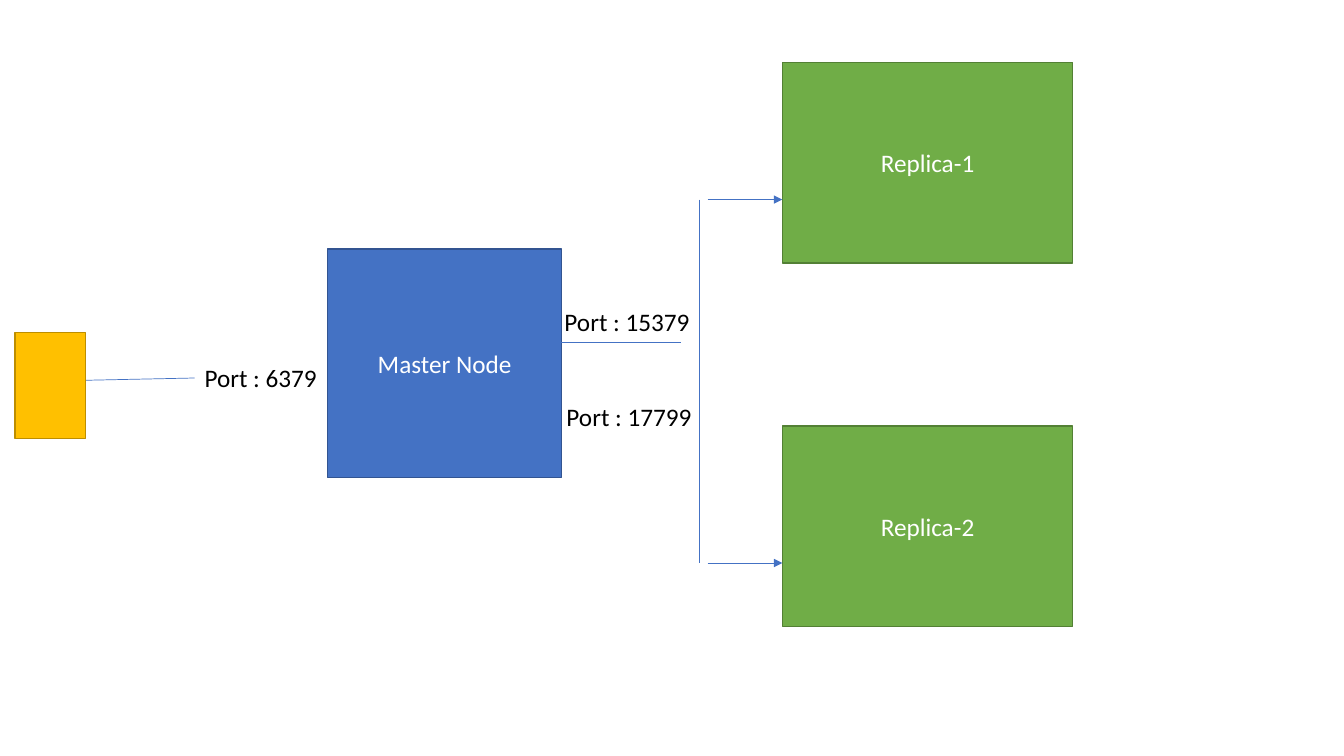
import pptx
import pptx.util
import pptx.dml.color
import pptx.enum.shapes
import pptx.enum.text
import pptx.oxml
import pptx.oxml.ns

RGBColor = pptx.dml.color.RGBColor
BLUE = RGBColor(0x44, 0x72, 0xC4)
DARK_BLUE = RGBColor(0x32, 0x54, 0x91)
GREEN = RGBColor(0x70, 0xAD, 0x47)
DARK_GREEN = RGBColor(0x53, 0x80, 0x35)
AMBER = RGBColor(0xFF, 0xC0, 0x00)
DARK_AMBER = RGBColor(0xBD, 0x8E, 0x00)
WHITE = RGBColor(0xFF, 0xFF, 0xFF)
BLACK = RGBColor(0x00, 0x00, 0x00)

SLIDE_WIDTH = pptx.util.Inches(13.33)
SLIDE_HEIGHT = pptx.util.Inches(7.5)


# Positions and sizes are percentages of the slide
def across(percent):
    return round(SLIDE_WIDTH * percent / 100)


def down(percent):
    return round(SLIDE_HEIGHT * percent / 100)


def write_text(shape, text, size=18, font="Calibri", color=BLACK,
               align=pptx.enum.text.PP_ALIGN.LEFT):
    paragraph = shape.text_frame.paragraphs[0]
    paragraph.alignment = align
    run = paragraph.add_run()
    run.text = text
    run.font.size = pptx.util.Pt(size)
    run.font.name = font
    run.font.color.rgb = color


def add_box(slide, left, top, width, height, fill, outline, text=None):
    shape = slide.shapes.add_shape(
        pptx.enum.shapes.MSO_SHAPE.RECTANGLE,
        across(left), down(top), across(width), down(height))
    shape.shadow.inherit = False
    shape.fill.solid()
    shape.fill.fore_color.rgb = fill
    shape.line.color.rgb = outline
    shape.line.width = pptx.util.Pt(1)
    if text:
        shape.text_frame.vertical_anchor = pptx.enum.text.MSO_ANCHOR.MIDDLE
        write_text(shape, text, color=WHITE,
                   align=pptx.enum.text.PP_ALIGN.CENTER)


def add_label(slide, left, top, width, text):
    label = slide.shapes.add_textbox(
        across(left), down(top), across(width), down(5.33))
    label.text_frame.word_wrap = False
    label.text_frame.auto_size = pptx.enum.text.MSO_AUTO_SIZE.SHAPE_TO_FIT_TEXT
    write_text(label, text)


def add_line(slide, start, end, arrow=False):
    line = slide.shapes.add_connector(
        pptx.enum.shapes.MSO_CONNECTOR.STRAIGHT,
        across(start[0]), down(start[1]), across(end[0]), down(end[1]))
    line.line.color.rgb = BLUE
    line.line.width = pptx.util.Pt(0.5)
    if arrow:
        head = pptx.oxml.parse_xml(
            f'<a:tailEnd {pptx.oxml.ns.nsdecls("a")} type="triangle"/>')
        line.line._get_or_add_ln().append(head)
    line._element.spPr.append(pptx.oxml.parse_xml(
        f'<a:effectLst {pptx.oxml.ns.nsdecls("a")}/>'))


def main():
    presentation = pptx.Presentation()
    presentation.slide_width = SLIDE_WIDTH
    presentation.slide_height = SLIDE_HEIGHT
    slide = presentation.slides.add_slide(presentation.slide_layouts[6])

    # Nodes
    master_left, master_width = 24.38, 17.4
    replica_left, replica_top, replica_step = 58.21, 8.27, 48.07
    add_box(slide, master_left, 32.93, master_width, 30.27,
            BLUE, DARK_BLUE, "Master Node")
    for index in range(2):
        add_box(slide, replica_left, replica_top + index * replica_step,
                21.61, 26.53, GREEN, DARK_GREEN, f"Replica-{index + 1}")

    # Branch from the master to both replicas
    trunk, branch_top = 52.06, 26.4
    branch_ends = [branch_top, branch_top + replica_step]
    add_line(slide, (master_left + master_width, 45.33), (50.64, 45.33))
    add_line(slide, (trunk, branch_ends[0]), (trunk, branch_ends[1]))
    for level in branch_ends:
        add_line(slide, (52.66, level), (replica_left, level), arrow=True)

    # Port labels
    for left, top, width, port in [(14.48, 47.33, 9.98, 6379),
                                   (41.26, 39.87, 10.95, 15379),
                                   (41.41, 52.4, 10.95, 17799)]:
        add_label(slide, left, top, width, f"Port : {port}")

    # Client, in front of its link
    add_line(slide, (3.75, 50.4), (14.48, 50))
    add_box(slide, 1.13, 44, 5.25, 14, AMBER, DARK_AMBER)

    presentation.save("out.pptx")


main()
